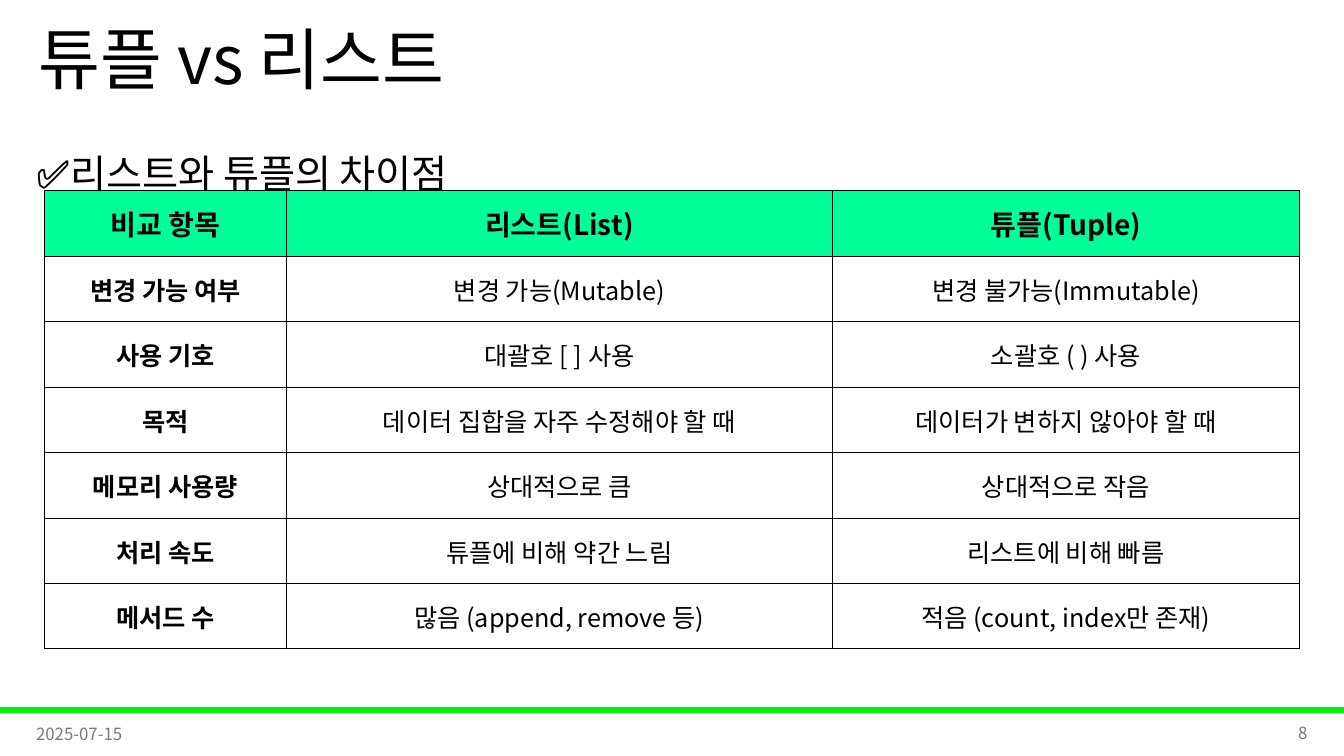
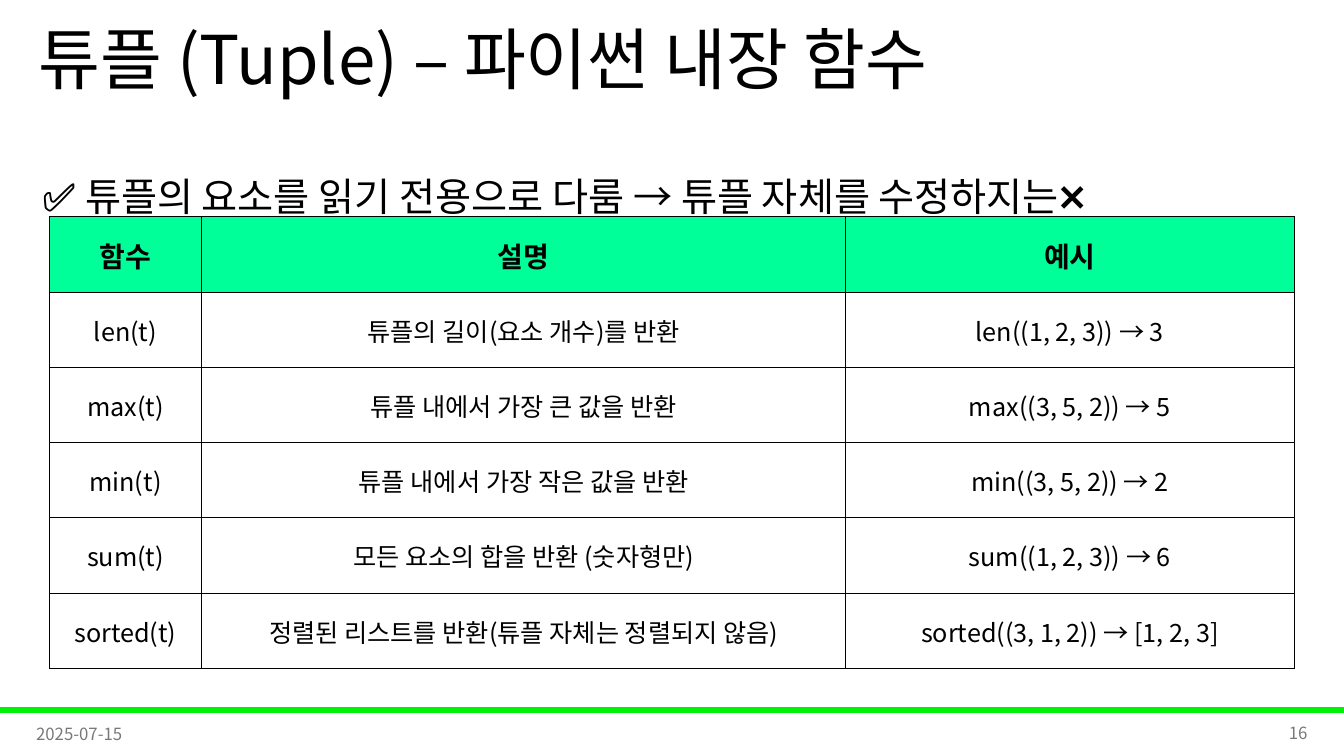
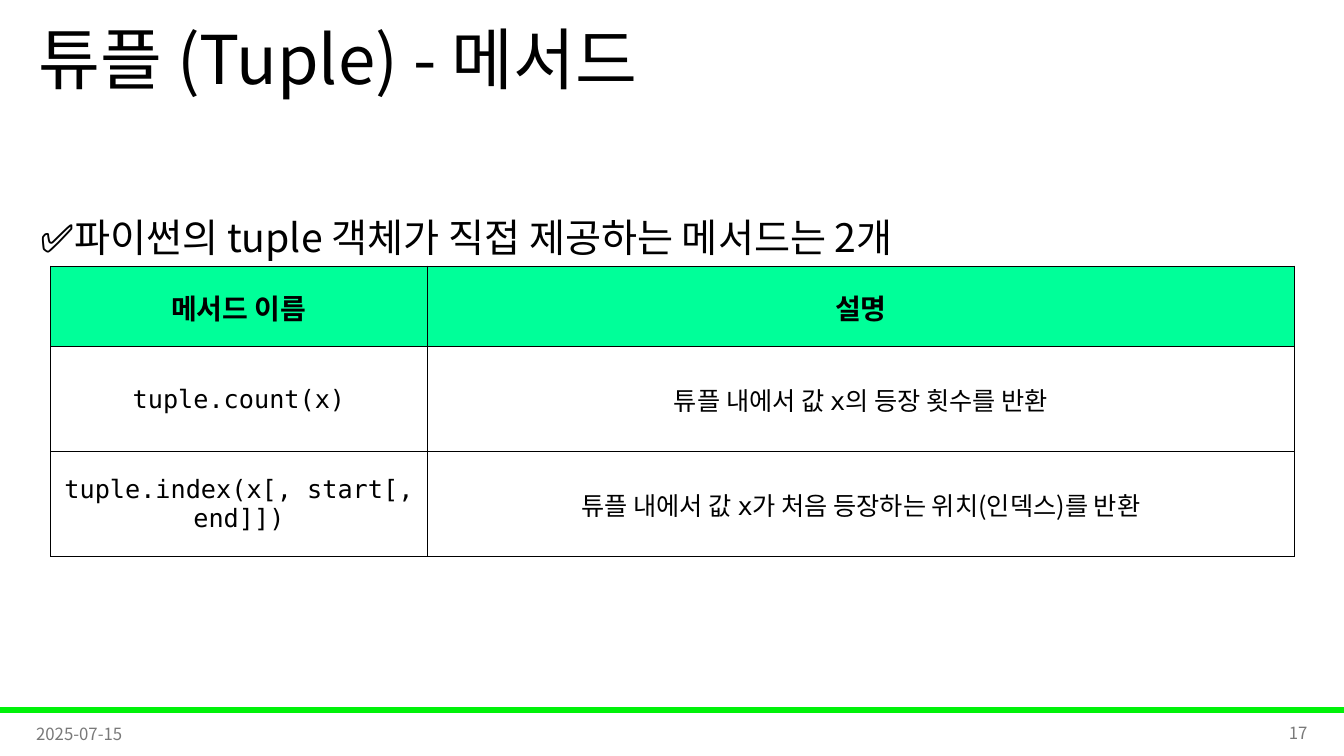
import dataclasses

import lxml.etree
import pptx
import pptx.dml.color
import pptx.enum.shapes
import pptx.enum.text
import pptx.oxml.ns
import pptx.util

ALIGN = pptx.enum.text.PP_ALIGN
ANCHOR = pptx.enum.text.MSO_ANCHOR


@dataclasses.dataclass(frozen=True)
class Theme:
    font: str = "Noto Sans CJK KR"
    code_font: str = "DejaVu Sans Mono"
    ink: str = "000000"
    muted: str = "797979"
    band: str = "00F209"
    header: str = "00FF99"
    title_size: int = 48
    lead_size: int = 28
    header_size: int = 20
    cell_size: int = 18
    footer_size: int = 12
    border: float = 0.5


@dataclasses.dataclass(frozen=True)
class Box:
    left: float
    top: float
    width: float
    height: float

    def emu(self):
        return [grid(value) for value in dataclasses.astuple(self)]


THEME = Theme()
SLIDE_WIDTH = pptx.util.Inches(13.33)
SLIDE_HEIGHT = pptx.util.Inches(7.5)
GRID_COLUMNS = 160
DATE = "2025-07-15"

BAND_BOX = Box(0, 84.24, 160, 0.6)
TITLE_BOX = Box(3.36, 0, 138, 15)
DATE_BOX = Box(3.12, 85, 36, 4.8)
NUMBER_BOX = Box(120.84, 84.84, 36, 4.8)
LEAD_SIZE = (153.6, 9.96)

PAGES = [
    dict(
        title="튜플 vs 리스트",
        number=8,
        lead="✅리스트와 튜플의 차이점",
        lead_at=(3.12, 12.72),
        table_at=(5.28, 22.68),
        columns=[28.8, 65.04, 55.56],
        heights=[7.8] * 7,
        bold_first=True,
        rows=[
            ["비교 항목", "리스트(List)", "튜플(Tuple)"],
            ["변경 가능 여부", "변경 가능(Mutable)", "변경 불가능(Immutable)"],
            ["사용 기호", "대괄호 [ ] 사용", "소괄호 ( ) 사용"],
            ["목적", "데이터 집합을 자주 수정해야 할 때", "데이터가 변하지 않아야 할 때"],
            ["메모리 사용량", "상대적으로 큼", "상대적으로 작음"],
            ["처리 속도", "튜플에 비해 약간 느림", "리스트에 비해 빠름"],
            ["메서드 수", "많음 (append, remove 등)", "적음 (count, index만 존재)"],
        ],
    ),
    dict(
        title="튜플 (Tuple) – 파이썬 내장 함수",
        number=16,
        lead="✅ 튜플의 요소를 읽기 전용으로 다룸 → 튜플 자체를 수정하지는❌",
        lead_at=(3.84, 15.48),
        table_at=(5.88, 25.8),
        columns=[18.12, 76.68, 53.4],
        heights=[8.96] * 6,
        rows=[
            ["함수", "설명", "예시"],
            ["len(t)", "튜플의 길이(요소 개수)를 반환", "len((1, 2, 3)) → 3"],
            ["max(t)", "튜플 내에서 가장 큰 값을 반환", "max((3, 5, 2)) → 5"],
            ["min(t)", "튜플 내에서 가장 작은 값을 반환", "min((3, 5, 2)) → 2"],
            ["sum(t)", "모든 요소의 합을 반환 (숫자형만)", "sum((1, 2, 3)) → 6"],
            ["sorted(t)", "정렬된 리스트를 반환(튜플 자체는 정렬되지 않음)",
             "sorted((3, 1, 2)) → [1, 2, 3]"],
        ],
    ),
    dict(
        title="튜플 (Tuple) - 메서드",
        number=17,
        lead="✅파이썬의 tuple 객체가 직접 제공하는 메서드는 2개",
        lead_at=(3.6, 20.28),
        table_at=(6, 31.68),
        columns=[44.88, 103.2],
        heights=[9.6, 12.5, 12.5],
        rows=[
            ["메서드 이름", "설명"],
            ["`tuple.count(x)`", "튜플 내에서 값 `x`의 등장 횟수를 반환"],
            ["`tuple.index(x[, start[, end]])`",
             "튜플 내에서 값 `x`가 처음 등장하는 위치(인덱스)를 반환"],
        ],
    ),
]


def grid(units):
    return round(units * SLIDE_WIDTH / GRID_COLUMNS)


def rgb(color):
    return pptx.dml.color.RGBColor.from_string(color)


def add_child(parent, tag, **attributes):
    return lxml.etree.SubElement(parent, pptx.oxml.ns.qn(tag), **attributes)


def write(frame, text, *, size, color=THEME.ink, bold=False, align=ALIGN.LEFT,
          spacing=None):
    para = frame.paragraphs[0]
    para.alignment = align
    if spacing:
        para.line_spacing = spacing
    for index, part in enumerate(text.split("`")):
        if not part:
            continue
        span = para.add_run()
        span.text = part
        span.font.size = pptx.util.Pt(size)
        span.font.bold = bold
        span.font.color.rgb = rgb(color)
        span.font.name = THEME.code_font if index % 2 else THEME.font
        add_child(span.font._element, "a:ea", typeface=THEME.font)


def add_text(page, box, text, *, anchor=ANCHOR.MIDDLE, top_inset=0.05, **style):
    frame = page.shapes.add_textbox(*box.emu()).text_frame
    frame.word_wrap = True
    frame.vertical_anchor = anchor
    frame.margin_top = pptx.util.Inches(top_inset)
    write(frame, text, **style)


def add_title(page, box, text):
    title = page.shapes.title
    title.left, title.top, title.width, title.height = box.emu()
    frame = title.text_frame
    frame.auto_size = pptx.enum.text.MSO_AUTO_SIZE.NONE
    frame.vertical_anchor = ANCHOR.MIDDLE
    write(frame, text, size=THEME.title_size, spacing=0.9)


def add_footer(page, number):
    style = dict(size=THEME.footer_size, color=THEME.muted)
    add_text(page, DATE_BOX, DATE, **style)
    add_text(page, NUMBER_BOX, str(number), align=ALIGN.RIGHT, **style)


def add_borders(cell):
    properties = cell._tc.get_or_add_tcPr()
    width = str(pptx.util.Pt(THEME.border))
    for side in ("a:lnL", "a:lnR", "a:lnT", "a:lnB"):
        fill = add_child(add_child(properties, side, w=width), "a:solidFill")
        add_child(fill, "a:srgbClr", val=THEME.ink)


def format_cell(cell, text, is_header, bold):
    inset = pptx.util.Inches(0.01)
    cell.margin_left = cell.margin_right = cell.margin_top = inset
    cell.margin_bottom = 0
    cell.vertical_anchor = ANCHOR.MIDDLE
    add_borders(cell)
    if is_header:
        cell.fill.solid()
        cell.fill.fore_color.rgb = rgb(THEME.header)
    else:
        cell.fill.background()
    write(cell.text_frame, text, bold=bold, align=ALIGN.CENTER,
          size=THEME.header_size if is_header else THEME.cell_size)


def add_comparison(page, corner, columns, heights, rows, bold_first):
    box = Box(*corner, sum(columns), sum(heights))
    table = page.shapes.add_table(len(rows), len(columns), *box.emu()).table
    table.first_row = table.horz_banding = False
    for column, width in zip(table.columns, columns):
        column.width = grid(width)
    for row_index, (row, height) in enumerate(zip(table.rows, heights)):
        row.height = grid(height)
        is_header = row_index == 0
        for column_index, text in enumerate(rows[row_index]):
            bold = is_header or (bold_first and column_index == 0)
            format_cell(row.cells[column_index], text, is_header, bold)


def add_table_page(deck, title, number, lead, lead_at, table_at, columns,
                   heights, rows, bold_first=False):
    page = deck.slides.add_slide(deck.slide_layouts.get_by_name("Title Only"))
    add_title(page, TITLE_BOX, title)
    add_footer(page, number)
    add_comparison(page, table_at, columns, heights, rows, bold_first)
    add_text(page, Box(*lead_at, *LEAD_SIZE), lead, size=THEME.lead_size,
             anchor=ANCHOR.TOP, top_inset=0.19, spacing=1.5)
    return page


def add_master_band(deck, page):
    band = page.shapes.add_shape(
        pptx.enum.shapes.MSO_SHAPE.RECTANGLE, *BAND_BOX.emu())
    band.shadow.inherit = False
    band.fill.solid()
    band.fill.fore_color.rgb = rgb(THEME.band)
    band.line.color.rgb = rgb(THEME.band)
    band.line.width = pptx.util.Pt(1)
    band._element.nvSpPr.cNvPr.set("id", "100")
    deck.slide_master.shapes._spTree.insert(2, band._element)


def main():
    deck = pptx.Presentation()
    deck.slide_width = SLIDE_WIDTH
    deck.slide_height = SLIDE_HEIGHT
    pages = [add_table_page(deck, **content) for content in PAGES]
    add_master_band(deck, pages[0])
    deck.save("out.pptx")


if __name__ == "__main__":
    main()
